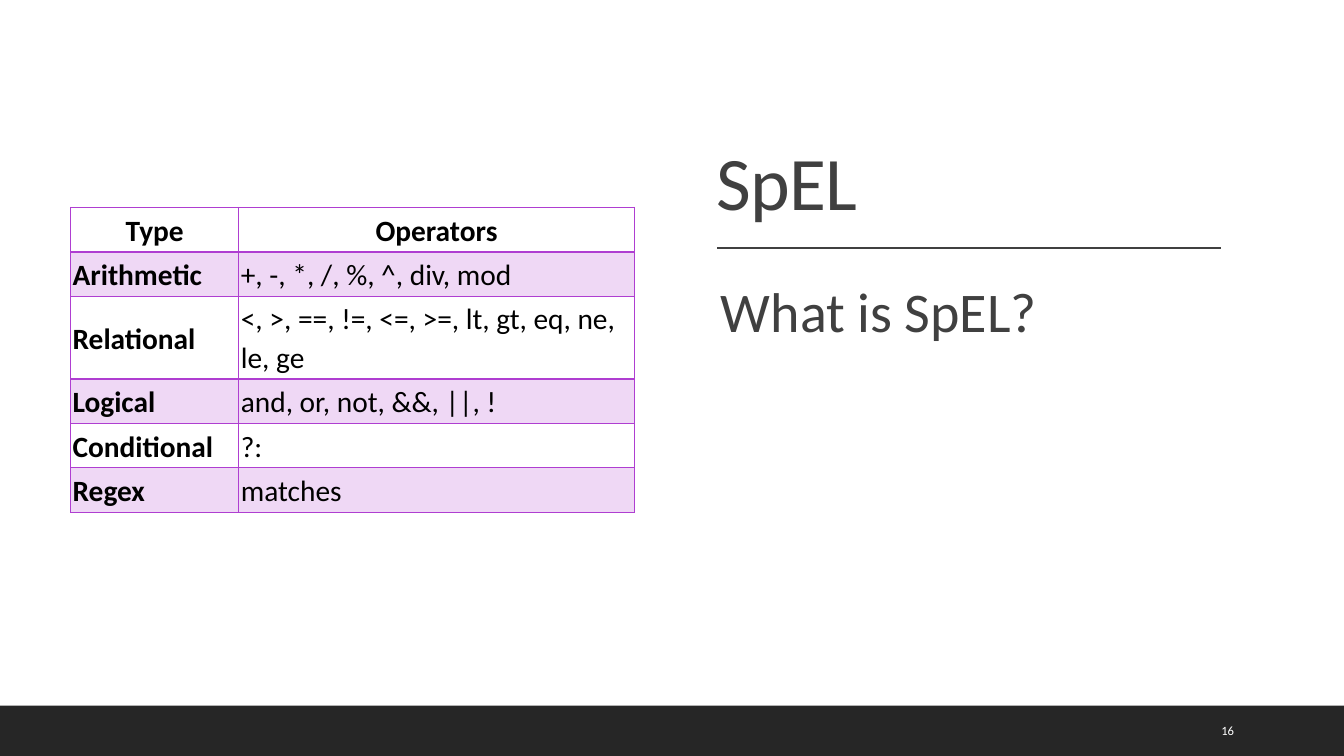
from dataclasses import dataclass

from lxml.etree import SubElement
from pptx import Presentation
from pptx.dml.color import RGBColor
from pptx.enum.shapes import MSO_CONNECTOR, MSO_SHAPE
from pptx.enum.text import MSO_ANCHOR, PP_ALIGN
from pptx.oxml import parse_xml
from pptx.oxml.ns import nsdecls, qn
from pptx.util import Cm, Pt


@dataclass(frozen=True)
class Theme:
    """Fonts, colours and type sizes of the deck."""

    font: str = "Calibri"
    paper: str = "FFFFFF"
    heading: str = "404040"
    footer: str = "262626"
    ink: str = "000000"
    accent: str = "AF3ED1"
    band_alpha: int = 20
    title_size: int = 54
    body_size: int = 40
    table_size: int = 21
    number_size: int = 9


class SlideBuilder:
    """Draws styled elements on one slide."""

    def __init__(self, page, theme):
        self.page = page
        self.theme = theme
        page.background.fill.solid()
        page.background.fill.fore_color.rgb = RGBColor.from_string(theme.paper)

    def style(self, para, size, color, bold=False, spacing=1.0):
        """Format a paragraph and its runs."""
        para.line_spacing = spacing
        for span in para.runs:
            span.font.name = self.theme.font
            span.font.size = Pt(size)
            span.font.bold = bold
            span.font.color.rgb = RGBColor.from_string(color)

    def text(self, words, place, size, color, anchor=MSO_ANCHOR.TOP, spacing=1.0, inset=0.25):
        """Add a wrapped text box and return its paragraph."""
        box = self.page.shapes.add_textbox(*map(Cm, place))
        frame = box.text_frame
        frame.word_wrap = True
        frame.vertical_anchor = anchor
        frame.margin_left = Cm(inset)
        frame.text = words
        para = frame.paragraphs[0]
        self.style(para, size, color, spacing=spacing)
        return para

    def bar(self, place, color):
        """Add a plain filled rectangle."""
        box = self.page.shapes.add_shape(MSO_SHAPE.RECTANGLE, *map(Cm, place))
        box.shadow.inherit = False
        box.fill.solid()
        box.fill.fore_color.rgb = RGBColor.from_string(color)
        box.line.fill.background()

    def rule(self, left, right, top, color):
        """Add a thin horizontal line."""
        line = self.page.shapes.add_connector(
            MSO_CONNECTOR.STRAIGHT, Cm(left), Cm(top), Cm(right), Cm(top))
        line.line.color.rgb = RGBColor.from_string(color)
        line.line.width = Pt(1)
        SubElement(line._element.spPr, qn("a:effectLst"))

    def borders(self, cell, bottom, top):
        """Outline a cell in the accent colour."""
        properties = cell._tc.get_or_add_tcPr()
        widths = {"lnL": 1, "lnR": 1, "lnT": top, "lnB": bottom}
        for index, (side, width) in enumerate(widths.items()):
            properties.insert(index, parse_xml(
                f'<a:{side} {nsdecls("a")} w="{Pt(width)}"><a:solidFill>'
                f'<a:srgbClr val="{self.theme.accent}"/></a:solidFill></a:{side}>'))

    def cell(self, cell, words, row, column):
        """Fill one table cell."""
        cell.text = words
        cell.vertical_anchor = MSO_ANCHOR.MIDDLE
        cell.margin_left = cell.margin_right = Cm(0.05)
        cell.margin_top = cell.margin_bottom = Cm(0.05)
        para = cell.text_frame.paragraphs[0]
        para.alignment = PP_ALIGN.CENTER if row == 0 else PP_ALIGN.LEFT
        self.style(para, self.theme.table_size, self.theme.ink, row == 0 or column == 0, 1.07)
        if row % 2:
            cell.fill.solid()
            cell.fill.fore_color.rgb = RGBColor.from_string(self.theme.accent)
            color = cell._tc.tcPr.find(".//" + qn("a:srgbClr"))
            SubElement(color, qn("a:alpha"), val=str(self.theme.band_alpha * 1000))
        else:
            cell.fill.background()
        self.borders(cell, bottom=2 if row == 0 else 1, top=2 if row == 1 else 1)

    def table(self, rows, left, top, widths, heights):
        """Add a table with shaded odd rows."""
        place = map(Cm, (left, top, sum(widths), sum(heights)))
        table = self.page.shapes.add_table(len(rows), len(widths), *place).table
        table.first_row = table.horz_banding = False
        for column, width in zip(table.columns, widths):
            column.width = Cm(width)
        for row, height in zip(table.rows, heights):
            row.height = Cm(height)
        for i, row in enumerate(rows):
            for j, words in enumerate(row):
                self.cell(table.cell(i, j), words, i, j)


OPERATORS = [
    ("Type", "Operators"),
    ("Arithmetic", "+, -, *, /, %, ^, div, mod"),
    ("Relational", "<, >, ==, !=, <=, >=, lt, gt, eq, ne, le, ge"),
    ("Logical", "and, or, not, &&, ||, !"),
    ("Conditional", "?:"),
    ("Regex", "matches"),
]


def main():
    """Build and save the slide."""
    theme = Theme()
    deck = Presentation()
    deck.slide_width, deck.slide_height = Cm(33.87), Cm(19.05)
    slide = SlideBuilder(deck.slides.add_slide(deck.slide_layouts[6]), theme)

    title = slide.text("SpEL", (17.81, 1.75, 14.25, 4.04), theme.title_size,
                       theme.heading, MSO_ANCHOR.BOTTOM, 0.8)
    title.runs[0].font._element.set("spc", "-50")
    slide.rule(18.08, 30.78, 6.25, theme.heading)
    slide.text("What is SpEL?", (17.81, 6.68, 14.25, 9.63), theme.body_size,
               theme.heading, spacing=1.1, inset=0.36)
    slide.bar((0, 17.78, 33.87, 1.27), theme.footer)
    number = slide.text("16", (30.53, 17.91, 2.16, 1.02), theme.number_size,
                        theme.paper, MSO_ANCHOR.MIDDLE)
    number.space_after = Pt(6)
    heights = [2.08 if kind == "Relational" else 1.12 for kind, _ in OPERATORS]
    slide.table(OPERATORS, 1.78, 5.23, (4.24, 9.96), heights)
    deck.save("out.pptx")


if __name__ == "__main__":
    main()
